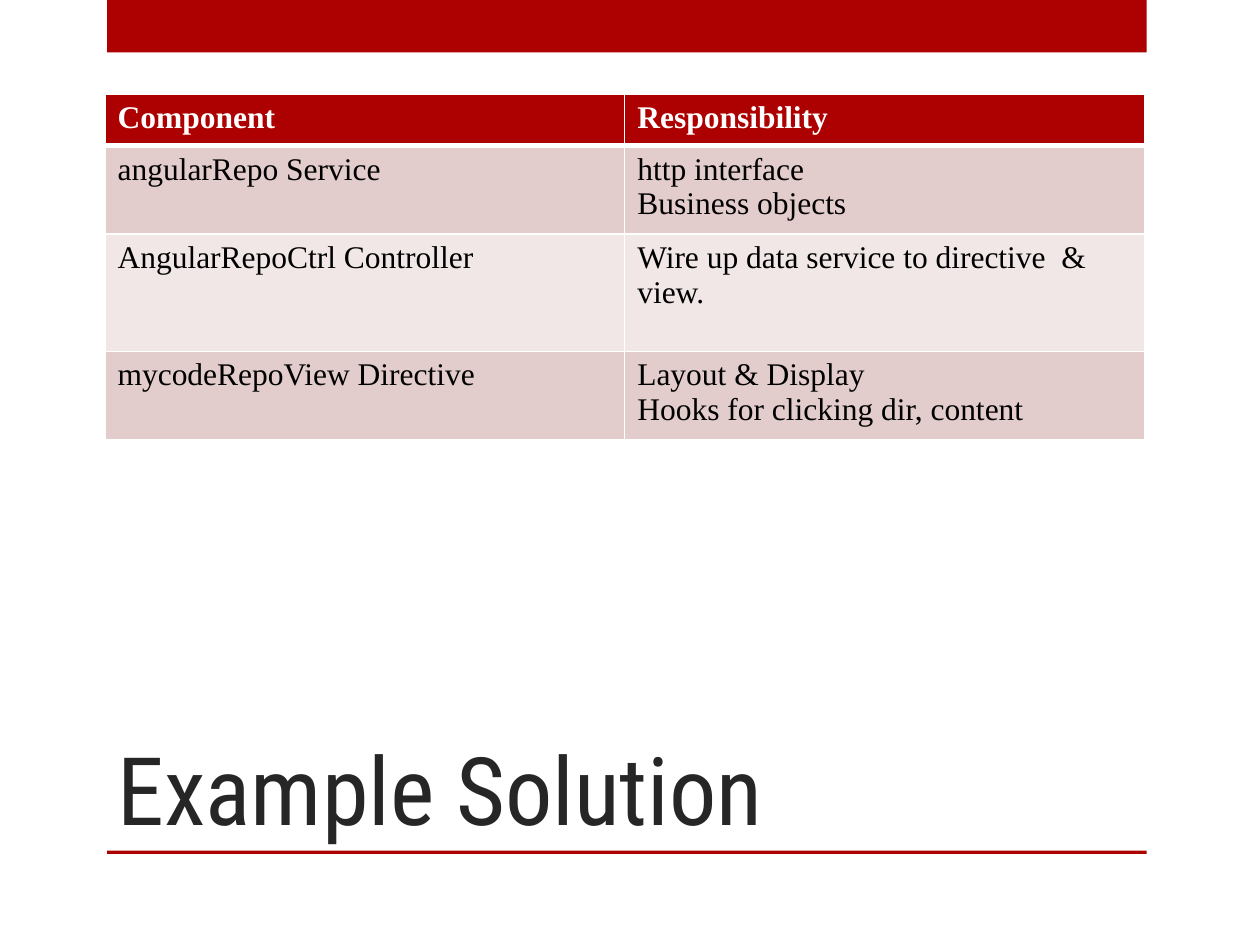
"""Build the Example Solution slide: components and their responsibilities."""
from dataclasses import dataclass

from lxml import etree
from pptx import Presentation
from pptx.dml.color import RGBColor
from pptx.enum.shapes import MSO_SHAPE
from pptx.enum.text import MSO_ANCHOR
from pptx.oxml.ns import qn
from pptx.util import Pt

RECTANGLE = MSO_SHAPE.RECTANGLE
BOTTOM = MSO_ANCHOR.BOTTOM


@dataclass(frozen=True)
class Theme:
    """Colours, fonts and type sizes of the slide."""
    accent: str = "AD0101"
    title: str = "262626"
    text: str = "000000"
    white: str = "FFFFFF"
    bands: tuple = ("E3CCCC", "F1E7E7")
    title_font: str = "Roboto Condensed"
    table_font: str = "Times New Roman"
    title_size: int = 54
    table_size: int = 18


THEME = Theme()
BAR_LEFT, BAR_WIDTH = 61.2, 594
CONTENT_LEFT = 60
TABLE_TOP, COLUMN_WIDTH = 54, 297
ROW_HEIGHTS = (29.2, 46.8, 67.2, 46.8)
ROWS = (
    (("Component",), ("Responsibility",)),
    (("angularRepo Service",), ("http interface", "Business objects")),
    (("AngularRepoCtrl Controller",),
     ("Wire up data service to directive  & view.",)),
    (("mycodeRepoView Directive",),
     ("Layout & Display", "Hooks for clicking dir, content")),
)


def set_fill(target, color):
    """Give a shape or cell a solid fill."""
    target.fill.solid()
    target.fill.fore_color.rgb = RGBColor.from_string(color)


def add_bar(page, top, height):
    """Add a full-width accent bar."""
    bar = page.shapes.add_shape(
        RECTANGLE, Pt(BAR_LEFT), Pt(top), Pt(BAR_WIDTH), Pt(height))
    bar.shadow.inherit = False
    set_fill(bar, THEME.accent)
    bar.line.fill.background()


def add_span(para, text, font, size, color, bold=False):
    """Add one formatted run to a paragraph."""
    span = para.add_run()
    span.text = text
    span.font.name = font
    span.font.size = Pt(size)
    span.font.bold = bold
    span.font.color.rgb = RGBColor.from_string(color)


def add_title(page, text):
    """Add the title, resting on the lower bar."""
    box = page.shapes.add_textbox(
        Pt(CONTENT_LEFT), Pt(360), Pt(534), Pt(126))
    frame = box.text_frame
    frame.word_wrap = True
    frame.vertical_anchor = BOTTOM
    add_span(frame.paragraphs[0], text,
             THEME.title_font, THEME.title_size, THEME.title)


def set_borders(cell, bottom, top):
    """Draw white borders around a cell."""
    properties = cell._tc.get_or_add_tcPr()
    widths = {"a:lnL": 1, "a:lnR": 1, "a:lnT": top, "a:lnB": bottom}
    for index, (tag, width) in enumerate(widths.items()):
        line = etree.Element(qn(tag), w=str(Pt(width)))
        fill = etree.SubElement(line, qn("a:solidFill"))
        etree.SubElement(fill, qn("a:srgbClr"), val=THEME.white)
        properties.insert(index, line)


def fill_cell(cell, lines, row_index):
    """Write the lines of a cell and style it by its row."""
    header = row_index == 0
    band = THEME.bands[(row_index - 1) % len(THEME.bands)]
    set_fill(cell, THEME.accent if header else band)
    set_borders(cell, 3 if header else 1, 3 if row_index == 1 else 1)
    frame = cell.text_frame
    for index, text in enumerate(lines):
        para = frame.add_paragraph() if index else frame.paragraphs[0]
        add_span(para, text, THEME.table_font, THEME.table_size,
                 THEME.white if header else THEME.text, header)


def add_component_table(page):
    """Add the table of components and responsibilities."""
    columns = len(ROWS[0])
    table = page.shapes.add_table(
        len(ROWS), columns, Pt(CONTENT_LEFT), Pt(TABLE_TOP),
        Pt(COLUMN_WIDTH * columns), Pt(sum(ROW_HEIGHTS))).table
    for column in table.columns:
        column.width = Pt(COLUMN_WIDTH)
    for row_index, (row, height) in enumerate(zip(ROWS, ROW_HEIGHTS)):
        table.rows[row_index].height = Pt(height)
        for column_index, lines in enumerate(row):
            fill_cell(table.cell(row_index, column_index), lines, row_index)


def main():
    """Build and save the deck."""
    deck = Presentation()
    deck.slide_width, deck.slide_height = Pt(720), Pt(540)
    page = deck.slides.add_slide(deck.slide_layouts[6])
    add_bar(page, 0, 30)
    add_bar(page, 486, 2)
    add_title(page, "Example Solution")
    add_component_table(page)
    deck.save("out.pptx")


main()
